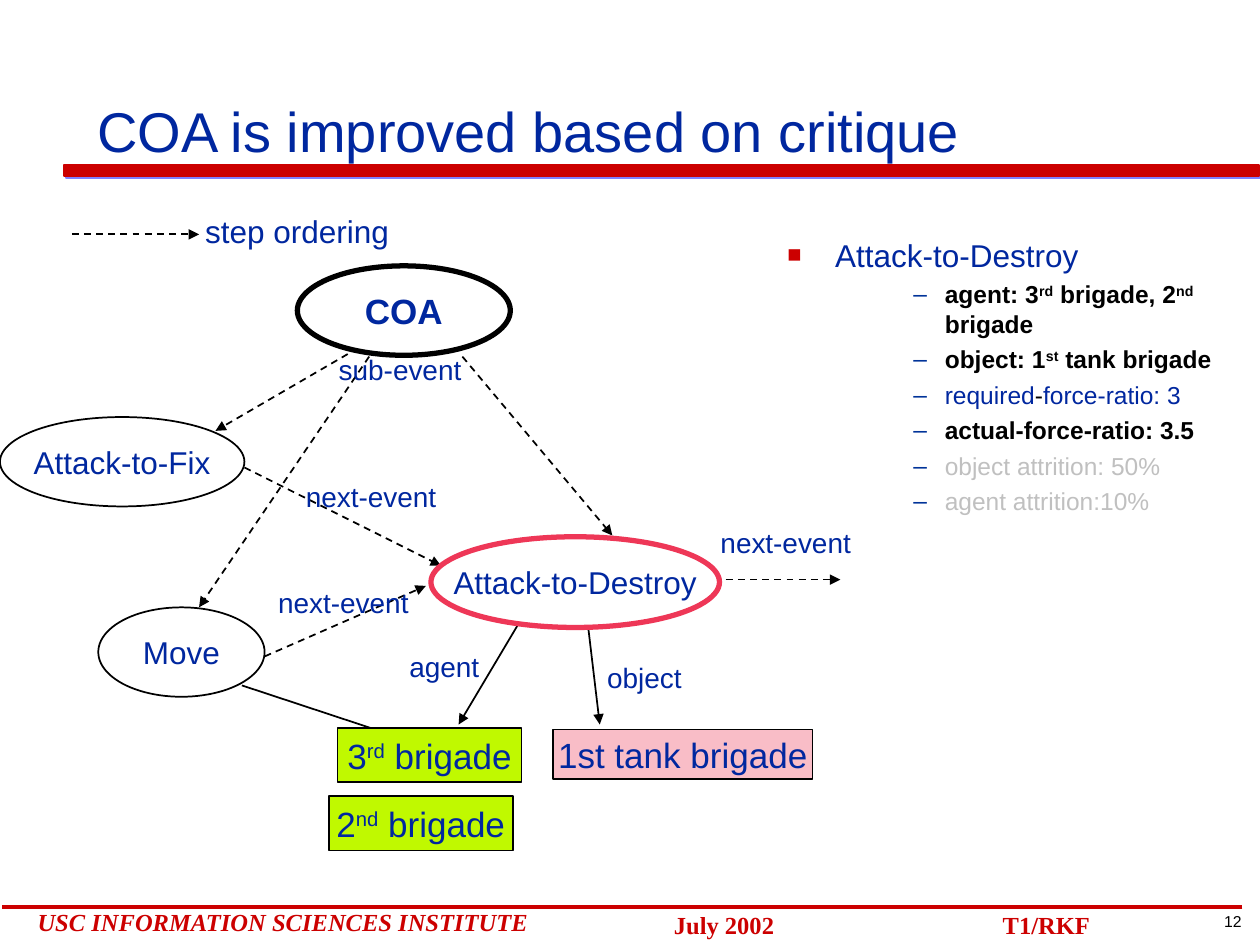
from lxml import etree
from pptx import Presentation
from pptx import util as u
from pptx.dml.color import RGBColor
from pptx.enum import dml, shapes, text
from pptx.oxml import ns

COLORS = {
    "navy": "00279F", "red": "CC0000", "black": "000000", "near_black": "010000",
    "dash": "003399", "gray": "C0C0C0", "crimson": "EE3757", "lime": "C0F900",
    "pink": "F9BDC7", "shade": "8080FF",
}
ELLIPSE = shapes.MSO_SHAPE.OVAL
RECTANGLE = shapes.MSO_SHAPE.RECTANGLE


def color(name):
    return RGBColor.from_string(COLORS[name])


def child(parent, tag, **attributes):
    return etree.SubElement(parent, ns.qn(tag), **attributes)


def write(para, words, size=18, fill="navy", bold=False, italic=False, font="Arial"):
    for index, piece in enumerate(words.split("^")):
        span = para.add_run()
        span.text = piece
        span.font.name, span.font.size = font, u.Pt(size)
        span.font.bold, span.font.italic = bold, italic
        span.font.color.rgb = color(fill)
        if index % 2:
            span.font._element.set("baseline", "30000")


class SlideBuilder:
    def __init__(self, slide):
        self.slide = slide
        self.shapes = slide.shapes

    def title(self, words, *place):
        box = self.shapes.title
        box.left, box.top, box.width, box.height = map(u.Inches, place)
        frame = box.text_frame
        frame.auto_size = text.MSO_AUTO_SIZE.NONE
        frame.vertical_anchor = text.MSO_ANCHOR.BOTTOM
        frame.paragraphs[0].alignment = text.PP_ALIGN.LEFT
        write(frame.paragraphs[0], words, size=32)

    def text_box(self, place, wrap=True):
        box = self.shapes.add_textbox(*map(u.Inches, place))
        box.text_frame.word_wrap = wrap
        return box.text_frame

    def label(self, words, *place, wrap=True, align=text.PP_ALIGN.LEFT, **style):
        para = self.text_box(place, wrap).paragraphs[0]
        para.alignment = align
        write(para, words, **style)

    def shape(self, kind, place, fill=None, line="black", width=1):
        box = self.shapes.add_shape(kind, *map(u.Inches, place))
        box.shadow.inherit = False
        if fill:
            box.fill.solid()
            box.fill.fore_color.rgb = color(fill)
        else:
            box.fill.background()
        box.line.color.rgb = color(line)
        box.line.width = u.Pt(width)
        return box

    def node(self, kind, words, *place, fill=None, line="black", width=1, **style):
        frame = self.shape(kind, place, fill, line, width).text_frame
        frame.word_wrap = False
        frame.vertical_anchor = text.MSO_ANCHOR.MIDDLE
        frame.paragraphs[0].alignment = text.PP_ALIGN.CENTER
        write(frame.paragraphs[0], words, **style)

    def title_bar(self, *place):
        bar = self.shape(RECTANGLE, place, fill="red", line="red")
        effects = bar.element.spPr.find(ns.qn("a:effectLst"))
        shadow = child(effects, "a:outerShdw", blurRad="0", dist=str(u.Pt(1.4)), dir="2700000")
        child(shadow, "a:srgbClr", val=COLORS["shade"])
        self.shapes.title.element.addprevious(bar.element)

    def line(self, *ends, fill="black", width=1, dashed=False, arrow=True):
        link = self.shapes.add_connector(shapes.MSO_CONNECTOR.STRAIGHT, *map(u.Inches, ends))
        link.line.color.rgb = color(fill)
        link.line.width = u.Pt(width)
        if dashed:
            link.line.dash_style = dml.MSO_LINE.DASH
        if arrow:
            child(link.line._get_or_add_ln(), "a:tailEnd", type="triangle")
        child(link.element.spPr, "a:effectLst")

    def bullet(self, para, mark, fill, percent, margin, indent, level=0):
        para.level = level
        props = para._p.get_or_add_pPr()
        props.set("marL", str(u.Inches(margin)))
        props.set("indent", str(u.Inches(-indent)))
        child(child(props, "a:buClr"), "a:srgbClr", val=COLORS[fill])
        child(props, "a:buSzPct", val=str(percent * 1000))
        child(props, "a:buFont", typeface="Arial")
        child(props, "a:buChar", char=mark)

    def outline(self, heading, items, *place):
        frame = self.text_box(place)
        para = frame.paragraphs[0]
        self.bullet(para, "■", "red", 75, 0.38, 0.38)
        write(para, heading)
        for pieces in items:
            para = frame.add_paragraph()
            self.bullet(para, "–", "dash", 100, 1.25, 0.25, level=2)
            para.space_before = u.Pt(3.5)
            for words, fill, bold in pieces:
                write(para, words, size=14, fill=fill, bold=bold)


def main():
    deck = Presentation()
    deck.slide_width, deck.slide_height = u.Inches(10), u.Inches(7.5)
    page = SlideBuilder(deck.slides.add_slide(deck.slide_layouts[5]))

    page.title("COA is improved based on critique", 0.67, 0.09, 8.48, 1.26)
    page.title_bar(0.51, 1.31, 9.48, 0.09)

    footer = dict(size=14, fill="red", bold=True, font="Times New Roman")
    page.label("12", 9.4, 7.19, 0.77, 0.25, wrap=False, align=text.PP_ALIGN.CENTER,
               size=9, fill="black")
    page.line(9.86, 7.2, 0.02, 7.2, fill="red", width=2, arrow=False)
    page.label("USC INFORMATION SCIENCES INSTITUTE", 0.2, 7.15, 4.36, 0.33, italic=True, **footer)
    page.label("T1/RKF", 7.86, 7.17, 1.64, 0.33, **footer)
    page.label("July 2002", 5.25, 7.17, 1.64, 0.33, **footer)

    for ends in (
        (0.57, 1.86, 1.58, 1.86),
        (2.76, 2.81, 1.71, 3.42),
        (2.93, 2.83, 1.58, 4.82),
        (3.67, 2.83, 4.86, 4.25),
        (1.94, 3.71, 3.5, 4.49),
        (2.1, 5.21, 3.38, 4.65),
        (5.76, 4.6, 6.67, 4.6),
    ):
        page.line(*ends, dashed=True)
    for ends in (
        (1.92, 5.44, 3.19, 5.86),
        (4.11, 4.96, 3.64, 5.75),
        (4.67, 4.99, 4.76, 5.75),
    ):
        page.line(*ends)

    page.node(ELLIPSE, "COA", 2.36, 2.11, 1.69, 0.71, width=3, size=20, bold=True)
    page.node(ELLIPSE, "Attack-to-Fix", 0, 3.31, 1.94, 0.71)
    page.node(ELLIPSE, "Attack-to-Destroy", 3.42, 4.26, 2.29, 0.72, line="crimson", width=3)
    page.node(ELLIPSE, "Move", 0.78, 4.82, 1.32, 0.71)
    page.node(RECTANGLE, "3^rd^ brigade", 2.68, 5.78, 1.46, 0.43, fill="lime", size=20)
    page.node(RECTANGLE, "2^nd^ brigade", 2.61, 6.32, 1.46, 0.43, fill="lime", size=20)
    page.node(RECTANGLE, "1st tank brigade", 4.39, 5.79, 2.06, 0.39, fill="pink", size=20)

    page.label("step ordering", 1.53, 1.63, 1.66, 0.4, wrap=False)
    page.label("sub-event", 2.59, 2.75, 1.57, 0.37, size=16)
    for left, top in ((2.33, 3.76), (2.11, 4.6), (5.62, 4.12)):
        page.label("next-event", left, top, 1.24, 0.37, size=16)
    page.label("agent", 3.15, 5.11, 0.8, 0.37, wrap=False, size=16)
    page.label("object", 4.72, 5.19, 0.82, 0.37, wrap=False, size=16)

    page.outline("Attack-to-Destroy", [
        [("agent: 3^rd^ brigade, 2^nd^ brigade", "black", True)],
        [("object: 1^st^ tank brigade", "black", True)],
        [("required", "navy", False), ("-", "near_black", False),
         ("force-ratio: 3", "navy", False)],
        [("actual-force-ratio: 3.5", "black", True)],
        [("object attrition: 50%", "gray", False)],
        [("agent attrition:10%", "gray", False)],
    ], 6.15, 1.82, 3.85, 2.59)

    deck.save("out.pptx")


if __name__ == "__main__":
    main()
